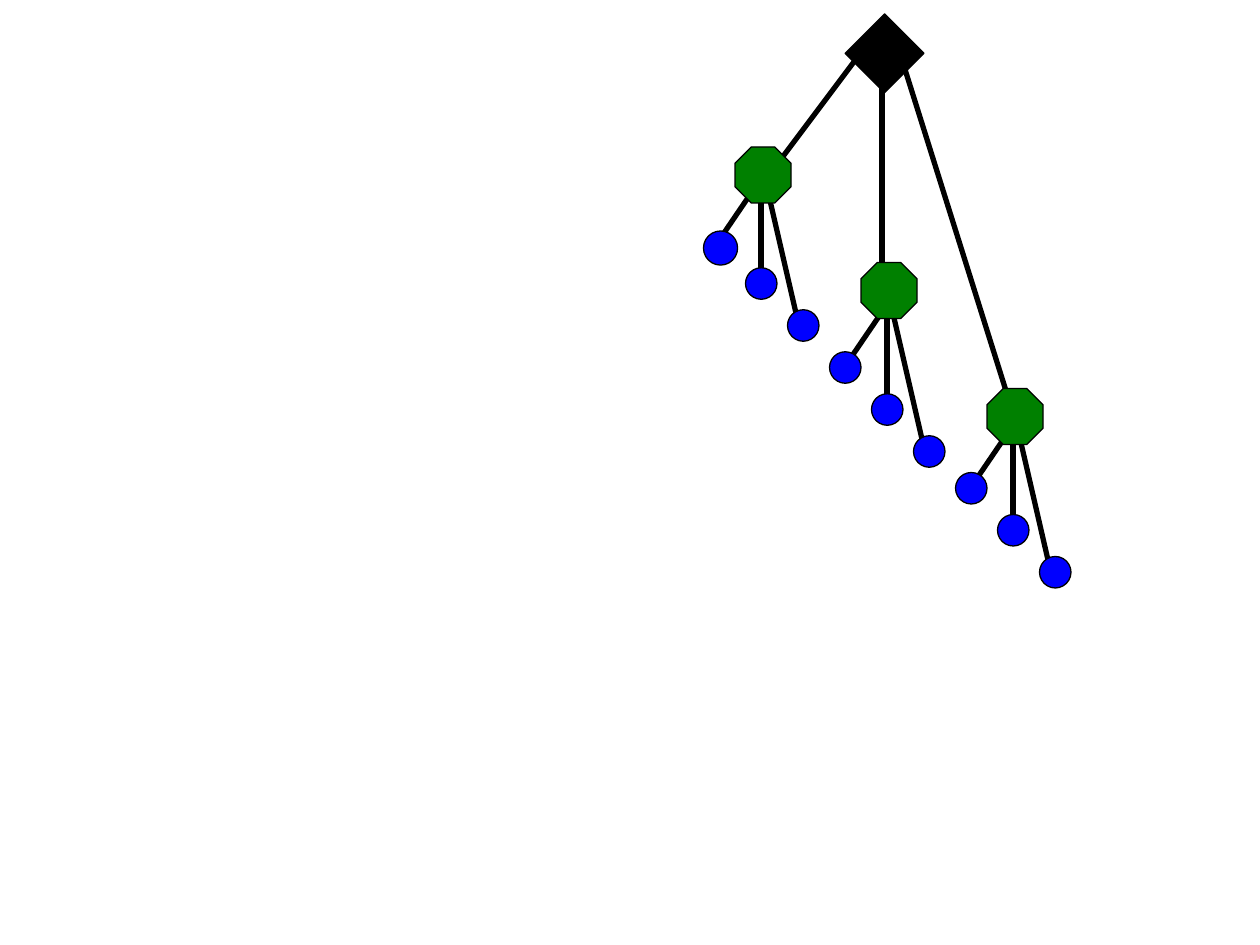
from pptx import Presentation
from pptx.dml.color import RGBColor
from pptx.enum.shapes import MSO_CONNECTOR, MSO_SHAPE
from pptx.oxml.ns import qn
from pptx.util import Pt
from lxml import etree

COLORS = {"root": "000000", "branch": "008000", "leaf": "0000FF", "line": "000000"}

presentation = Presentation()
presentation.slide_width = Pt(720)
presentation.slide_height = Pt(540)
slide = presentation.slides.add_slide(presentation.slide_layouts[6])


def add_edge(x1, y1, x2, y2):
    edge = slide.shapes.add_connector(
        MSO_CONNECTOR.STRAIGHT, Pt(x1), Pt(y1), Pt(x2), Pt(y2))
    edge.line.width = Pt(3)
    edge.line.color.rgb = RGBColor.from_string(COLORS["line"])
    etree.SubElement(edge._element.spPr, qn("a:effectLst"))


def add_node(kind, role, left, top, size):
    node = slide.shapes.add_shape(kind, Pt(left), Pt(top), Pt(size), Pt(size))
    node.shadow.inherit = False
    node.fill.solid()
    node.fill.fore_color.rgb = RGBColor.from_string(COLORS[role])
    node.line.width = Pt(0.75)
    node.line.color.rgb = RGBColor.from_string(COLORS["line"])
    return node


leaf_edges = [(410.4, 138, 434.9, 102), (434.9, 103.8, 434.9, 164), (437.8, 105, 455.8, 183)]
leaf_spots = [(426, 153), (450, 177), (402, 129)]
subtree_shifts = [(144, 141), (72, 72), (0, 0)]

for dx, dy in subtree_shifts:
    for x1, y1, x2, y2 in leaf_edges:
        add_edge(x1 + dx, y1 + dy, x2 + dx, y2 + dy)
    for left, top in leaf_spots if dx else leaf_spots[:2]:
        add_node(MSO_SHAPE.OVAL, "leaf", left + dx, top + dy, 18)

for root_edge in [(438, 102, 492, 30), (504, 174, 504, 36), (582, 246, 516, 36)]:
    add_edge(*root_edge)

add_node(MSO_SHAPE.DIAMOND, "root", 483, 8, 45)
add_node(MSO_SHAPE.FLOWCHART_CONNECTOR, "leaf", 402, 132, 19.5)
for left, top in [(420, 84), (492, 150), (564, 222)]:
    branch = add_node(MSO_SHAPE.OCTAGON, "branch", left, top, 32)
    branch.adjustments[0] = 0.29

presentation.save("out.pptx")
